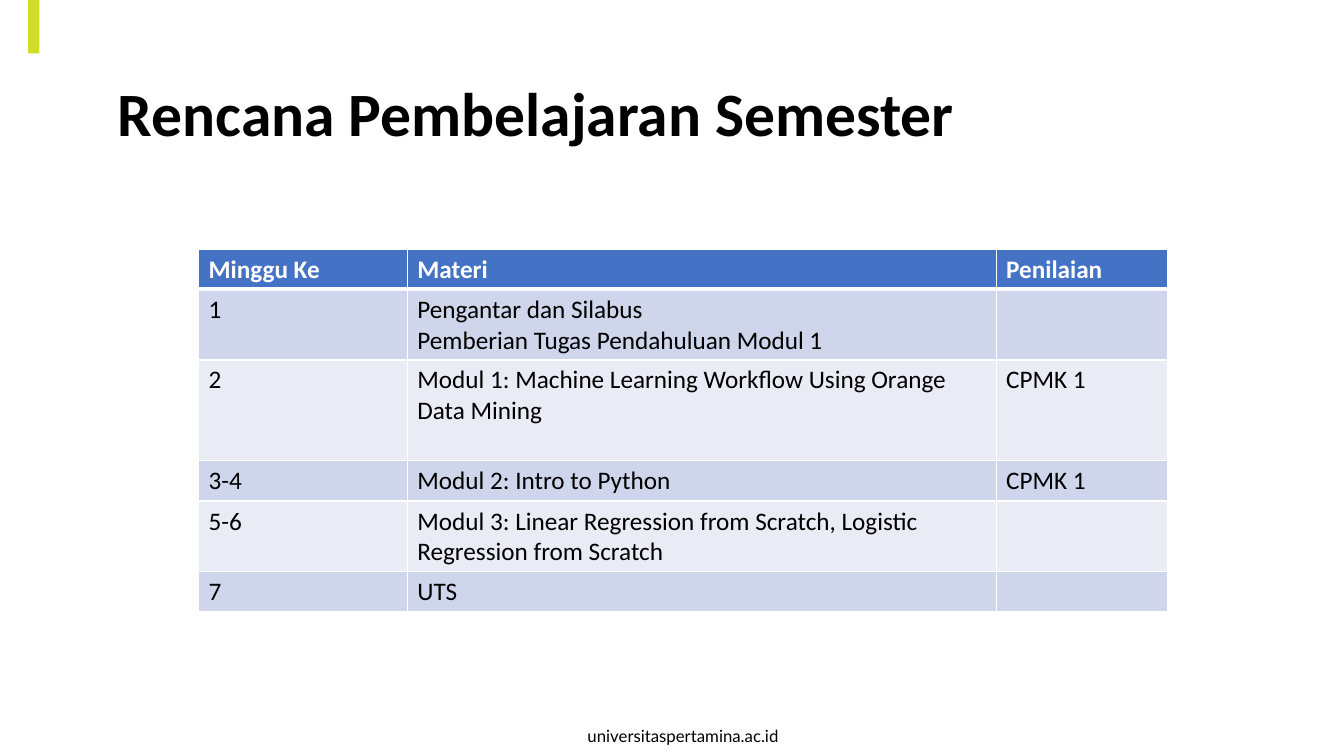
import pptx
import pptx.util
import pptx.dml.color
import pptx.enum.shapes
import pptx.enum.text
import pptx.oxml
from dataclasses import dataclass

TITLE = "Rencana Pembelajaran Semester"
SITE = "universitaspertamina.ac.id"
PLAN = [
    ("Minggu Ke", ["Materi"], "Penilaian"),
    ("1", ["Pengantar dan Silabus", "Pemberian Tugas Pendahuluan Modul 1"], ""),
    ("2", ["Modul 1: Machine Learning Workflow Using Orange Data Mining"], "CPMK 1"),
    ("3-4", ["Modul 2: Intro to Python"], "CPMK 1"),
    ("5-6", ["Modul 3: Linear Regression from Scratch, "
             "Logistic Regression from Scratch"], ""),
    ("7", ["UTS"], ""),
]
COLS = (2.07, 5.84, 1.7)
LINES = (1, 2, 3, 1, 2, 1)  # text lines that each row has room for
LINE, PAD = 0.3, 0.1


@dataclass(frozen=True)
class Theme:
    font: str = "Calibri"
    small: str = "Lato"
    black: str = "000000"
    white: str = "FFFFFF"
    lime: str = "D1DD27"
    head: str = "4472C4"
    bands: tuple = ("E9EBF5", "CFD5EA")
    big: int = 44
    body: int = 18
    foot: int = 12


THEME = Theme()


def inch(*sizes):
    return [pptx.util.Inches(size) for size in sizes]


def paint(fill, color):
    fill.solid()
    fill.fore_color.rgb = pptx.dml.color.RGBColor.from_string(color)


def write(para, text, size, color, bold=False, font=THEME.font):
    run = para.add_run()
    run.text = text
    run.font.name, run.font.size, run.font.bold = font, pptx.util.Pt(size), bold
    run.font.color.rgb = pptx.dml.color.RGBColor.from_string(color)


def edge(cell, side, width):
    """Draw one white border of a cell, width in points."""
    space = "http://schemas.openxmlformats.org/drawingml/2006/main"
    cell._tc.get_or_add_tcPr().append(pptx.oxml.parse_xml(
        f'<a:ln{side} xmlns:a="{space}" w="{pptx.util.Pt(width)}"><a:solidFill>'
        f'<a:srgbClr val="{THEME.white}"/></a:solidFill></a:ln{side}>'))


def add_bar(slide):
    bar = slide.shapes.add_shape(
        pptx.enum.shapes.MSO_SHAPE.RECTANGLE, *inch(0.28, 0, 0.11, 0.53))
    bar.shadow.inherit = False
    paint(bar.fill, THEME.lime)
    bar.line.fill.background()


def add_foot(slide):
    frame = slide.shapes.add_textbox(*inch(5.72, 7.15, 2.11, 0.3)).text_frame
    frame.word_wrap = False
    para = frame.paragraphs[0]
    para.alignment = pptx.enum.text.PP_ALIGN.CENTER
    write(para, SITE, THEME.foot, THEME.black, font=THEME.small)


def add_title(slide):
    title = slide.shapes.title
    title.left, title.top, title.width, title.height = inch(1.07, 0.74, 10.51, 0.84)
    frame = title.text_frame
    frame.auto_size = pptx.enum.text.MSO_AUTO_SIZE.NONE
    frame.vertical_anchor = pptx.enum.text.MSO_ANCHOR.MIDDLE
    para = frame.paragraphs[0]
    para.alignment = pptx.enum.text.PP_ALIGN.LEFT
    para.line_spacing = 0.9
    write(para, TITLE, THEME.big, THEME.black, True)


def add_plan(slide):
    highs = [PAD + LINE * count for count in LINES]
    table = slide.shapes.add_table(
        len(PLAN), len(COLS), *inch(1.97, 2.47, sum(COLS), sum(highs))).table
    for col, wide in zip(table.columns, COLS):
        col.width = pptx.util.Inches(wide)
    for row, high in zip(table.rows, highs):
        row.height = pptx.util.Inches(high)
    for r, (week, topics, grade) in enumerate(PLAN):
        head = r == 0
        back = THEME.head if head else THEME.bands[r % 2]
        ink = THEME.white if head else THEME.black
        for c, lines in enumerate(([week], topics, [grade])):
            cell = table.cell(r, c)
            for side in "LRTB":
                thick = (head and side == "B") or (r == 1 and side == "T")
                edge(cell, side, 3 if thick else 1)
            paint(cell.fill, back)
            for i, text in enumerate(lines):
                frame = cell.text_frame
                para = frame.add_paragraph() if i else frame.paragraphs[0]
                if text:
                    write(para, text, THEME.body, ink, head)


def main():
    deck = pptx.Presentation()
    deck.slide_width, deck.slide_height = inch(13.33, 7.5)
    slide = deck.slides.add_slide(deck.slide_layouts[5])
    paint(slide.background.fill, THEME.white)
    add_bar(slide)
    add_foot(slide)
    add_title(slide)
    add_plan(slide)
    deck.save("out.pptx")


if __name__ == "__main__":
    main()
